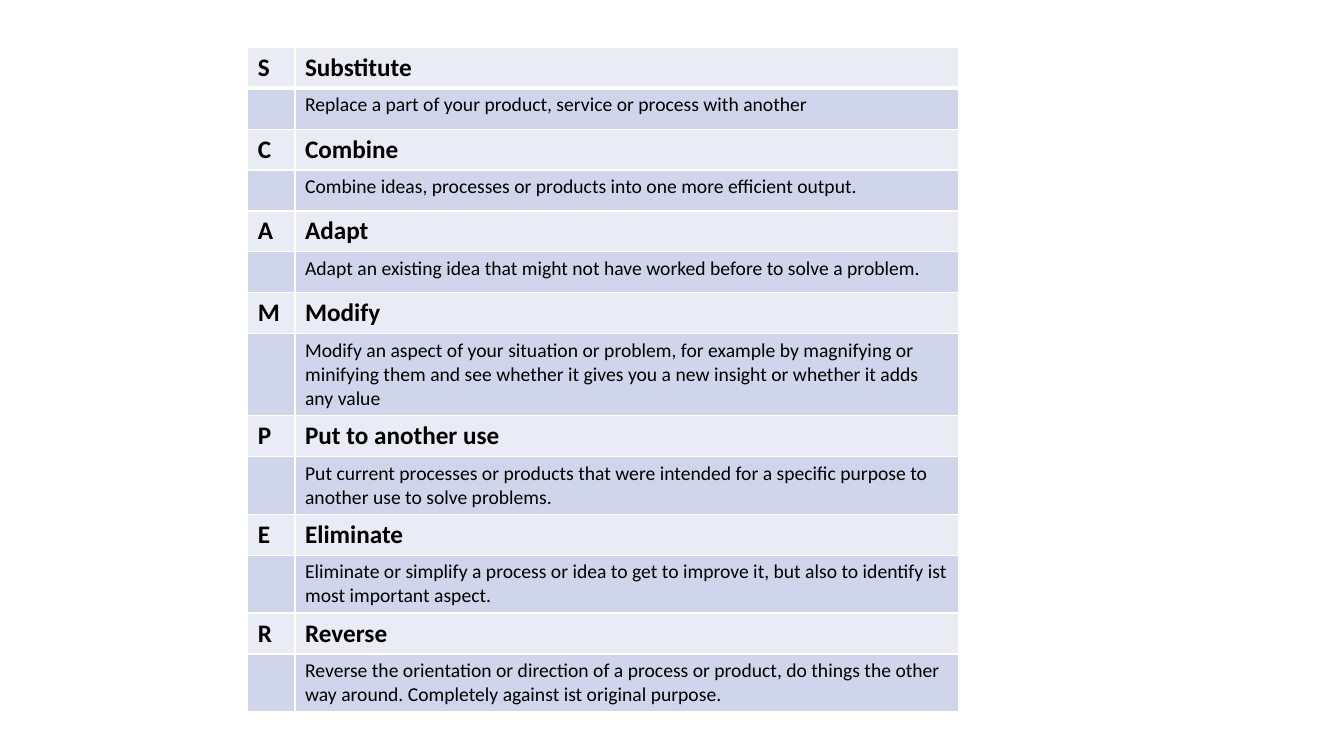
import dataclasses

import pptx
import pptx.dml.color
import pptx.oxml
import pptx.oxml.ns
import pptx.table
import pptx.util

PX = 9525  # EMU per px, 96 px to the inch
FONT = "Calibri"
BLACK, WHITE = "000000", "FFFFFF"
HEADING_FILL, DETAIL_FILL = "E9EBF5", "CFD5EA"
TABLE_LEFT, TABLE_TOP = 236, 45
COLUMN_WIDTHS = (45, 632)
HEADING_HEIGHT = 39
DETAIL_HEIGHTS = {1: 39, 2: 55, 3: 78}  # by number of text lines


@dataclasses.dataclass(frozen=True)
class Step:
    heading: str
    detail: str
    lines: int = 1


STEPS = (
    Step("Substitute", "Replace a part of your product, service or process with another"),
    Step("Combine", "Combine ideas, processes or products into one more efficient output."),
    Step("Adapt", "Adapt an existing idea that might not have worked before to solve a problem."),
    Step("Modify", "Modify an aspect of your situation or problem, for example by magnifying or "
         "minifying them and see whether it gives you a new insight or whether it adds any value", 3),
    Step("Put to another use", "Put current processes or products that were intended for a "
         "specific purpose to another use to solve problems.", 2),
    Step("Eliminate", "Eliminate or simplify a process or idea to get to improve it, but also to "
         "identify ist most important aspect.", 2),
    Step("Reverse", "Reverse the orientation or direction of a process or product, do things the "
         "other way around. Completely against ist original purpose.", 2),
)


def px(n: int) -> pptx.util.Emu:
    return pptx.util.Emu(n * PX)


def rgb(color: str) -> pptx.dml.color.RGBColor:
    return pptx.dml.color.RGBColor.from_string(color)


def set_borders(cell: pptx.table._Cell, top: int, bottom: int) -> None:
    """Add white borders, with the top and bottom widths in points."""
    tc_pr = cell._tc.get_or_add_tcPr()
    widths = {"lnL": 1, "lnR": 1, "lnT": top, "lnB": bottom}
    for i, (side, width) in enumerate(widths.items()):
        ln = pptx.oxml.parse_xml(
            f'<a:{side} {pptx.oxml.ns.nsdecls("a")} w="{pptx.util.Pt(width)}">'
            f'<a:solidFill><a:srgbClr val="{WHITE}"/></a:solidFill></a:{side}>')
        tc_pr.insert(i, ln)  # borders come before the fill


def fill_row(table: pptx.table.Table, row: int, height: int, texts: tuple[str, str],
             size: int, bold: bool, fill: str) -> None:
    table.rows[row].height = px(height)
    for col, text in enumerate(texts):
        cell = table.cell(row, col)
        cell.fill.solid()
        cell.fill.fore_color.rgb = rgb(fill)
        # A thick rule runs below the first row
        set_borders(cell, top=3 if row == 1 else 1, bottom=3 if row == 0 else 1)
        if not text:
            continue
        cell.text_frame.text = text
        font = cell.text_frame.paragraphs[0].runs[0].font
        font.name, font.size, font.bold = FONT, pptx.util.Pt(size), bold
        font.color.rgb = rgb(BLACK)


def main() -> None:
    prs = pptx.Presentation()
    prs.slide_width, prs.slide_height = px(1280), px(720)
    s = prs.slides.add_slide(prs.slide_layouts[6])

    # Table frame
    height = sum(HEADING_HEIGHT + DETAIL_HEIGHTS[step.lines] for step in STEPS)
    table = s.shapes.add_table(2 * len(STEPS), len(COLUMN_WIDTHS), px(TABLE_LEFT), px(TABLE_TOP),
                               px(sum(COLUMN_WIDTHS)), px(height)).table
    for column, width in zip(table.columns, COLUMN_WIDTHS):
        column.width = px(width)

    # A heading row and a detail row for each step
    for i, step in enumerate(STEPS):
        fill_row(table, 2 * i, HEADING_HEIGHT, (step.heading[0], step.heading),
                 18, True, HEADING_FILL)
        fill_row(table, 2 * i + 1, DETAIL_HEIGHTS[step.lines], ("", step.detail),
                 14, False, DETAIL_FILL)

    prs.save("out.pptx")


if __name__ == "__main__":
    main()
